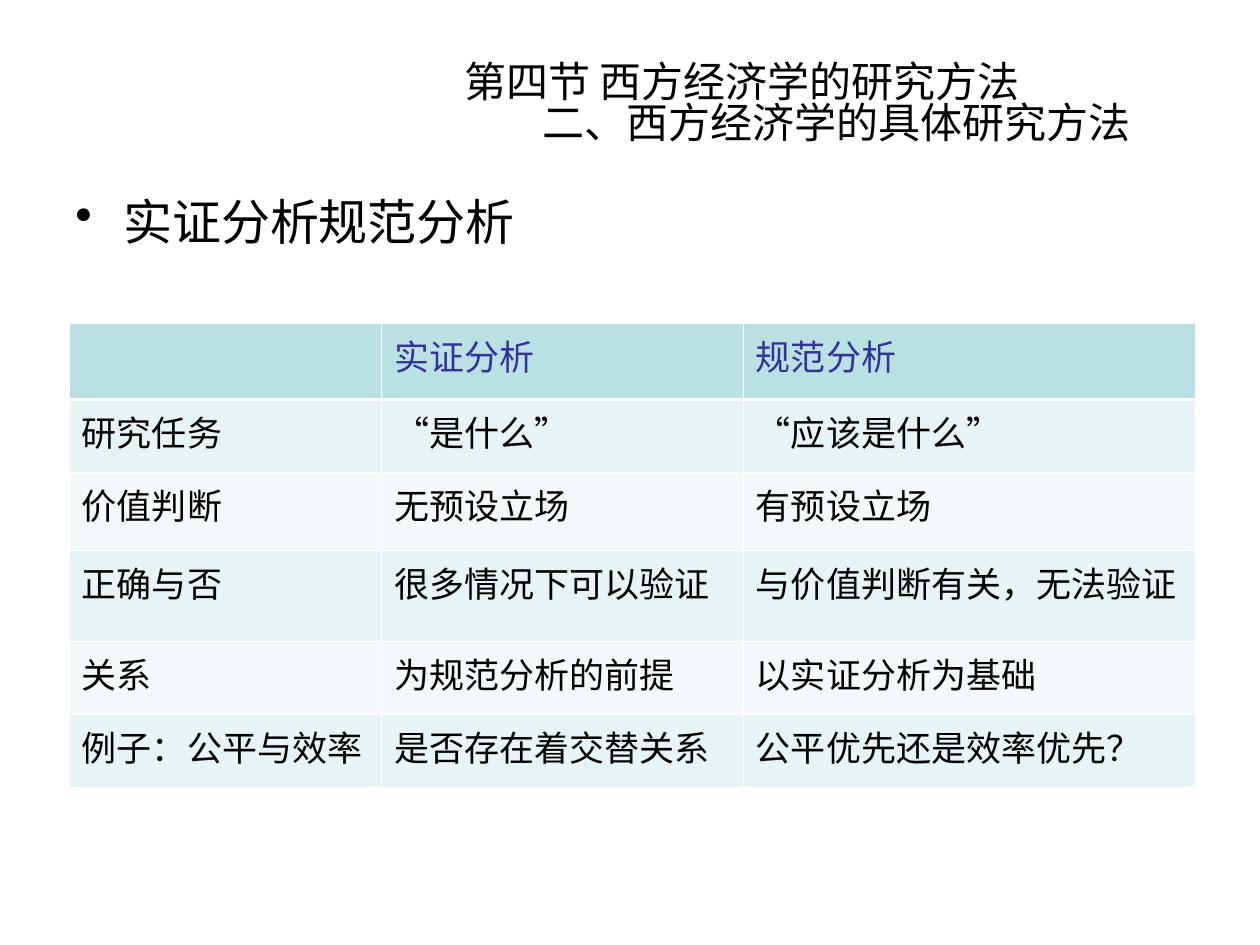
from dataclasses import dataclass

from pptx import Presentation
from pptx import oxml as ox
from pptx import util as u
from pptx.dml.color import RGBColor
from pptx.enum import lang, text
from pptx.oxml import ns

BLACK, WHITE, INDIGO = "000000", "FFFFFF", "333399"
HEADER_FILL, BAND_FILLS = "BBE0E3", ("E7F3F4", "F3F9FA")
CJK_FONT = "Noto Sans CJK SC"
HAIRLINE, HEADER_RULE = 0.45, 1.47


@dataclass
class Line:
    words: str
    size: float
    color: str = BLACK
    font: str = "Arial"
    indent: float = 0
    bullet: bool = False
    align: text.PP_ALIGN = text.PP_ALIGN.LEFT
    spacing: float = 1.0


@dataclass
class TextBlock:
    left: float
    top: float
    width: float
    height: float
    anchor: text.MSO_ANCHOR
    lines: list[Line]


def hex_color(value: str) -> RGBColor:
    return RGBColor.from_string(value)


def write_line(para, line: Line) -> None:
    properties = para._p.get_or_add_pPr()
    if line.indent:
        properties.set("marL", str(u.Inches(line.indent)))
    if line.bullet:
        properties.set("indent", str(-u.Inches(line.indent)))
        properties.append(ox.parse_xml(f'<a:buChar {ns.nsdecls("a")} char="•"/>'))
    for name, value in {"alignment": line.align, "line_spacing": line.spacing}.items():
        setattr(para, name, value)
    span = para.add_run()
    span.text = line.words
    formats = {
        "size": u.Pt(line.size),
        "name": line.font,
        "language_id": lang.MSO_LANGUAGE_ID.SIMPLIFIED_CHINESE,
    }
    for name, value in formats.items():
        setattr(span.font, name, value)
    span.font.color.rgb = hex_color(line.color)
    east_asian = f'<a:ea {ns.nsdecls("a")} typeface="{CJK_FONT}"/>'
    span._r.get_or_add_rPr().append(ox.parse_xml(east_asian))


def add_text_block(page, block: TextBlock) -> None:
    position = map(u.Inches, (block.left, block.top, block.width, block.height))
    frame = page.shapes.add_textbox(*position).text_frame
    formats = {"word_wrap": True, "vertical_anchor": block.anchor}
    for name, value in formats.items():
        setattr(frame, name, value)
    for index, line in enumerate(block.lines):
        write_line(frame.add_paragraph() if index else frame.paragraphs[0], line)


def style_cell(cell, fill: str, top: float, bottom: float) -> None:
    properties = cell._tc.get_or_add_tcPr()
    borders = {"lnL": HAIRLINE, "lnR": HAIRLINE, "lnT": top, "lnB": bottom}
    for tag, width in borders.items():
        properties.append(ox.parse_xml(
            f'<a:{tag} {ns.nsdecls("a")} w="{u.Pt(width)}"><a:solidFill>'
            f'<a:srgbClr val="{WHITE}"/></a:solidFill></a:{tag}>'
        ))
    cell.fill.solid()
    cell.fill.fore_color.rgb = hex_color(fill)


def add_comparison(page, left: float, top: float, widths: list[float],
                   heights: list[float], rows: list[list[str]]) -> None:
    position = map(u.Inches, (left, top, sum(widths), sum(heights)))
    table = page.shapes.add_table(len(rows), len(widths), *position).table
    table.horz_banding = False
    for column, width in zip(table.columns, widths):
        column.width = u.Inches(width)
    for row, height in zip(table.rows, heights):
        row.height = u.Inches(height)
    for row_index, row in enumerate(rows):
        is_header = row_index == 0
        fill = HEADER_FILL if is_header else BAND_FILLS[(row_index - 1) % 2]
        top_rule = HEADER_RULE if row_index == 1 else HAIRLINE
        bottom_rule = HEADER_RULE if is_header else HAIRLINE
        for column_index, words in enumerate(row):
            cell = table.cell(row_index, column_index)
            style_cell(cell, fill, top_rule, bottom_rule)
            if words:
                color = INDIGO if is_header else BLACK
                write_line(cell.text_frame.paragraphs[0], Line(words, 20, color))


def main() -> None:
    deck = Presentation()
    deck.slide_width, deck.slide_height = u.Inches(10), u.Inches(7.5)
    page = deck.slides.add_slide(deck.slide_layouts[6])
    center = text.PP_ALIGN.CENTER
    add_text_block(page, TextBlock(0.5, 1.47, 9, 0.71, text.MSO_ANCHOR.TOP, [
        Line("实证分析规范分析", 28, indent=0.38, bullet=True),
    ]))
    add_comparison(
        page, 0.55, 2.57, [2.48, 2.87, 3.59], [0.6, 0.58, 0.62, 0.72, 0.58, 0.58],
        [
            ["", "实证分析", "规范分析"],
            ["研究任务", "“是什么”", "“应该是什么”"],
            ["价值判断", "无预设立场", "有预设立场"],
            ["正确与否", "很多情况下可以验证", "与价值判断有关，无法验证"],
            ["关系", "为规范分析的前提", "以实证分析为基础"],
            ["例子：公平与效率", "是否存在着交替关系", "公平优先还是效率优先？"],
        ],
    )
    add_text_block(page, TextBlock(0.5, 0.37, 9, 0.94, text.MSO_ANCHOR.MIDDLE, [
        Line("第四节 西方经济学的研究方法", 24, font=CJK_FONT, indent=1.78,
             align=center, spacing=0.82),
        Line("二、西方经济学的具体研究方法", 24, indent=3.28,
             align=center, spacing=0.82),
    ]))
    deck.save("out.pptx")


if __name__ == "__main__":
    main()
